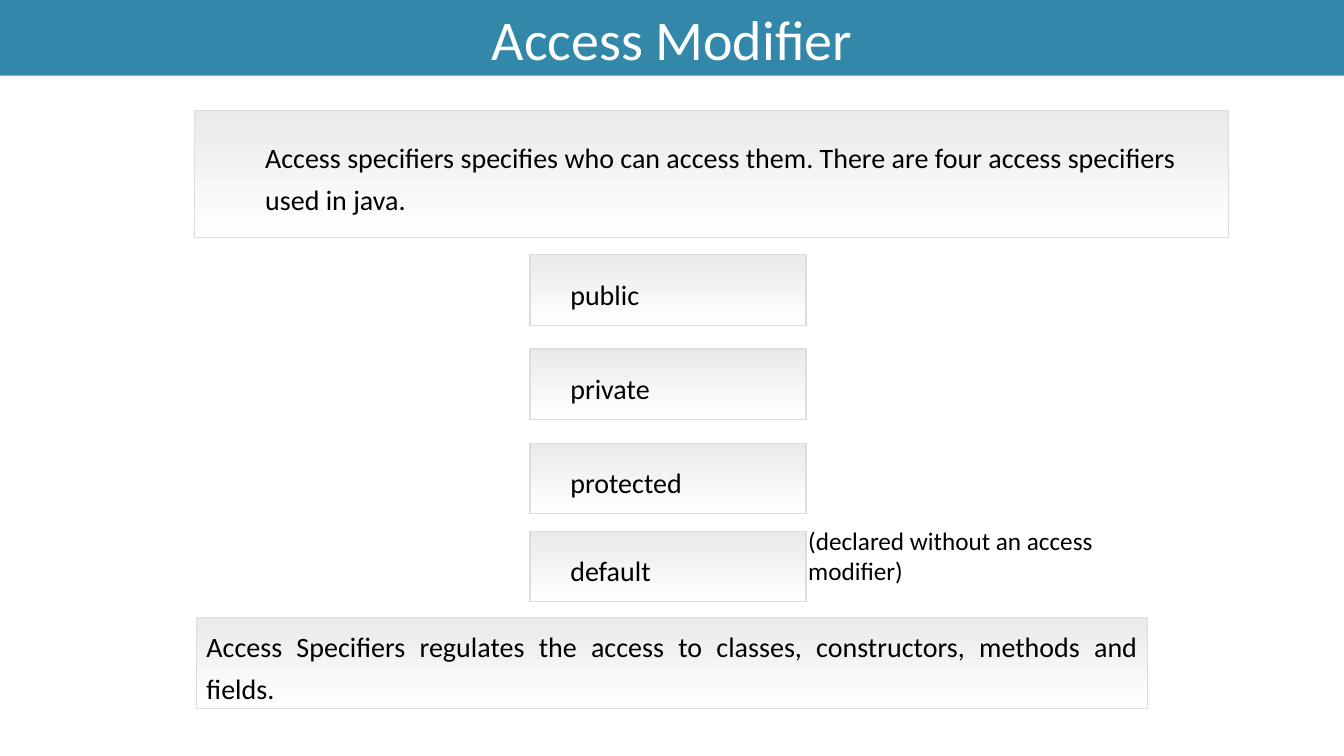
from dataclasses import dataclass

from pptx import Presentation
from pptx.dml.color import RGBColor
from pptx.enum.shapes import MSO_SHAPE
from pptx.enum.text import MSO_ANCHOR, PP_ALIGN
from pptx.shapes.base import BaseShape
from pptx.slide import Slide
from pptx.util import Pt


@dataclass(frozen=True)
class Theme:
    font: str = "Calibri"
    title: float = 40
    body: float = 20
    note: float = 18
    leading: float = 29.9
    banner: RGBColor = RGBColor(0x33, 0x88, 0xA9)
    top: RGBColor = RGBColor(0xEA, 0xEA, 0xEA)
    white: RGBColor = RGBColor(0xFF, 0xFF, 0xFF)
    edge: RGBColor = RGBColor(0xDD, 0xDD, 0xDD)
    ink: RGBColor = RGBColor(0, 0, 0)


@dataclass(frozen=True)
class Box:
    left: float
    top: float
    width: float
    height: float

    def place(self) -> tuple[Pt, Pt, Pt, Pt]:
        return Pt(self.left), Pt(self.top), Pt(self.width), Pt(self.height)


@dataclass(frozen=True)
class Panel:
    text: str
    box: Box
    indent: float
    align: PP_ALIGN = PP_ALIGN.JUSTIFY


THEME = Theme()
WIDTH, HEIGHT = 960, 540

LEVELS = {"public": 182, "private": 249.2, "protected": 316.6, "default": 379.5}
PANELS = [
    Panel(
        "Access specifiers specifies who can access them. "
        "There are four access specifiers used in java.",
        Box(139, 78.8, 738.7, 90.7), 50.4, PP_ALIGN.LEFT,
    ),
    *(Panel(name, Box(378.6, top, 197.3, 50.4), 28.8)
      for name, top in LEVELS.items()),
    Panel(
        "Access Specifiers regulates the access to classes, "
        "constructors, methods and fields.",
        Box(140.4, 441.2, 679.4, 64.8), 7.2,
    ),
]


def write(shape: BaseShape, text: str, size: float, color: RGBColor,
          align: PP_ALIGN, anchor: MSO_ANCHOR) -> None:
    frame = shape.text_frame
    frame.word_wrap = True
    frame.vertical_anchor = anchor
    para = frame.paragraphs[0]
    para.text = text
    para.alignment = align
    para.font.name = THEME.font
    para.font.size = Pt(size)
    para.font.color.rgb = color


def add_rect(slide: Slide, box: Box) -> BaseShape:
    rect = slide.shapes.add_shape(MSO_SHAPE.RECTANGLE, *box.place())
    rect.shadow.inherit = False
    return rect


def add_title(slide: Slide, text: str) -> None:
    bar = add_rect(slide, Box(0, 0, WIDTH, 54))
    bar.fill.solid()
    bar.fill.fore_color.rgb = THEME.banner
    bar.line.fill.background()
    write(bar, text, THEME.title, THEME.white, PP_ALIGN.CENTER, MSO_ANCHOR.MIDDLE)


def add_note(slide: Slide, text: str, box: Box) -> None:
    note = slide.shapes.add_textbox(*box.place())
    write(note, text, THEME.note, THEME.ink, PP_ALIGN.LEFT, MSO_ANCHOR.TOP)


def add_panel(slide: Slide, panel: Panel) -> None:
    rect = add_rect(slide, panel.box)
    rect.fill.gradient()
    rect.fill.gradient_angle = 270
    for stop, color in zip(rect.fill.gradient_stops, (THEME.top, THEME.white)):
        stop.color.rgb = color
    rect.line.color.rgb = THEME.edge
    rect.line.width = Pt(1)
    write(rect, panel.text, THEME.body, THEME.ink, panel.align, MSO_ANCHOR.MIDDLE)
    frame = rect.text_frame
    frame.margin_left = Pt(panel.indent)
    frame.margin_top = frame.margin_right = frame.margin_bottom = Pt(7.2)
    frame.paragraphs[0].line_spacing = Pt(THEME.leading)


def main() -> None:
    deck = Presentation()
    deck.slide_width, deck.slide_height = Pt(WIDTH), Pt(HEIGHT)
    slide = deck.slides.add_slide(deck.slide_layouts[6])
    add_note(slide, "(declared without an access modifier)",
             Box(570.2, 371.5, 272.9, 50.4))
    add_title(slide, "Access Modifier")
    for panel in PANELS:
        add_panel(slide, panel)
    deck.save("out.pptx")


if __name__ == "__main__":
    main()
